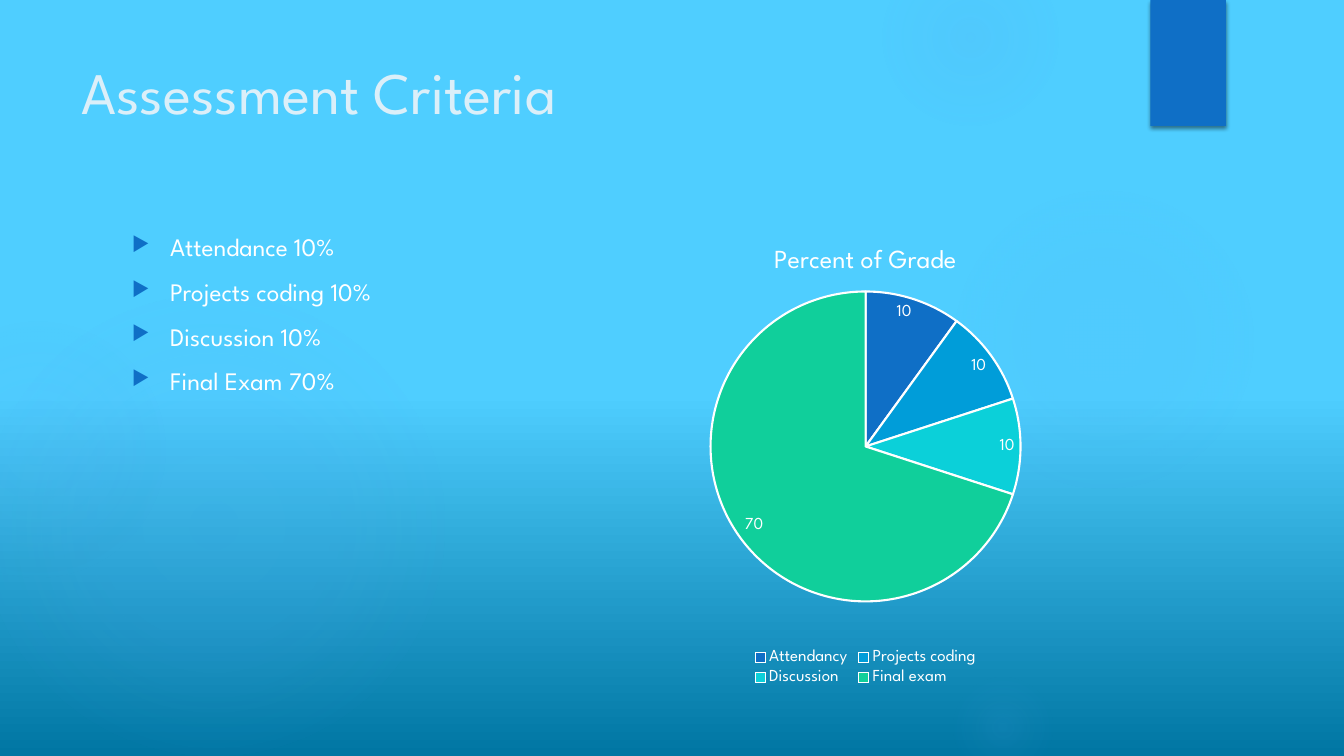
from pptx import Presentation
from pptx.chart.data import CategoryChartData
from pptx.dml.color import RGBColor
from pptx.enum.chart import XL_CHART_TYPE as ChartType
from pptx.enum.chart import XL_LABEL_POSITION as LabelPosition
from pptx.enum.chart import XL_LEGEND_POSITION as LegendPosition
from pptx.enum.shapes import MSO_SHAPE as Shape
from pptx.oxml import parse_xml
from pptx.oxml.ns import nsdecls, qn
from pptx.util import Inches, Pt

WIDTH, HEIGHT = 13.33, 7.5
FONT = "League Spartan"
WHITE, PALE, BLUE = "FFFFFF", "DBEFF9", "0F6FC6"
GLOW = "59AAF2"

# Content columns share one row
CONTENT_TOP, COLUMN_WIDTH, COLUMN_HEIGHT = 2.25, 4.81, 4.59
LEFT_COLUMN, COLUMN_GAP = 1.21, 0.16

CRITERIA = ["Attendance 10%", "Projects coding 10%", "Discussion 10%", "Final Exam 70%"]
GRADES = [
    ("Attendancy", 10, BLUE),
    ("Projects coding", 10, "009DD9"),
    ("Discussion", 10, "0BD0D9"),
    ("Final exam", 70, "10CF9B"),
]

# Glow circles: left, top, diameter, (position, colour, opacity) stops
GLOWS = [
    (-0.17, 2.92, 4.58, [(0, GLOW, 11), (36, GLOW, 10), (75, GLOW, 0)]),
    (-0.92, 3.17, 2.58, [(0, GLOW, 8), (36, GLOW, 5), (71, "448AD7", 0)]),
    (9.41, 1.83, 3.08, [(0, GLOW, 7), (36, GLOW, 6), (69, GLOW, 0)]),
    (8.75, -0.5, 1.75, [(0, GLOW, 14), (36, GLOW, 7), (73, GLOW, 0)]),
    (9.41, 6.67, 1.08, [(0, GLOW, 10), (31, GLOW, 5), (66, GLOW, 0)]),
]
SKY = [(0, "0076A3", 100), (48, "4FCEFF", 100), (100, "4FCEFF", 100)]
LINEAR_UP = '<a:lin ang="16200000" scaled="0"/>'
RADIAL = ('<a:path path="circle"><a:fillToRect l="50000" t="50000" '
          'r="50000" b="50000"/></a:path>')


def color(hex_string):
    return RGBColor.from_string(hex_string)


def inches(box):
    return [Inches(length) for length in box]


def apply(target, formats):
    for name, value in formats.items():
        setattr(target, name, value)


def style_font(font, size, hex_string=WHITE):
    apply(font, {"name": FONT, "size": Pt(size), "bold": False})
    font.color.rgb = color(hex_string)


def gradient(fill, owner, stops, direction):
    """Replace the owner's solid fill by a gradient."""
    fill.solid()
    marks = "".join(
        f'<a:gs pos="{position * 1000}"><a:srgbClr val="{tone}">'
        f'<a:alpha val="{opacity * 1000}"/></a:srgbClr></a:gs>'
        for position, tone, opacity in stops)
    solid = owner.find(".//" + qn("a:solidFill"))
    solid.getparent().replace(solid, parse_xml(
        f'<a:gradFill {nsdecls("a")} rotWithShape="1"><a:gsLst>{marks}</a:gsLst>'
        f'{direction}</a:gradFill>'))


def add_backdrop(slide):
    gradient(slide.background.fill, slide.element, SKY, LINEAR_UP)
    for left, top, diameter, stops in GLOWS:
        glow = slide.shapes.add_shape(
            Shape.OVAL, *inches((left, top, diameter, diameter)))
        glow.shadow.inherit = False
        gradient(glow.fill, glow.element.spPr, stops, RADIAL)
        glow.line.fill.background()


def add_ribbon(slide, box):
    ribbon = slide.shapes.add_shape(Shape.RECTANGLE, *inches(box))
    ribbon.shadow.inherit = False
    ribbon.fill.solid()
    ribbon.fill.fore_color.rgb = color(BLUE)
    ribbon.line.fill.background()
    # Soft shadow below the ribbon
    ribbon.element.spPr.find(qn("a:effectLst")).append(parse_xml(
        f'<a:outerShdw {nsdecls("a")} blurRad="{Pt(3)}" dist="{Pt(2)}" dir="5400000" '
        'rotWithShape="0"><a:srgbClr val="000000"><a:alpha val="45000"/>'
        '</a:srgbClr></a:outerShdw>'))


def add_title(slide, box, wording):
    frame = slide.shapes.add_textbox(*inches(box)).text_frame
    frame.word_wrap = True
    frame.text = wording
    style_font(frame.paragraphs[0].runs[0].font, 42, PALE)


def add_criteria(slide, box, criteria):
    frame = slide.shapes.add_textbox(*inches(box)).text_frame
    frame.word_wrap = True
    frame.text = "\n".join(criteria)
    for criterion in frame.paragraphs:
        apply(criterion, {"space_before": Pt(4.2), "space_after": Pt(6)})
        style_font(criterion.runs[0].font, 18)
        # Triangle bullet with hanging indent
        properties = criterion._p.get_or_add_pPr()
        properties.set("marL", str(Inches(0.38)))
        properties.set("indent", str(-Inches(0.38)))
        for bullet in (f'<a:buClr {nsdecls("a")}><a:srgbClr val="{BLUE}"/></a:buClr>',
                       f'<a:buSzPct {nsdecls("a")} val="80000"/>',
                       f'<a:buChar {nsdecls("a")} char="▶"/>'):
            properties.append(parse_xml(bullet))


def add_grade_pie(slide, box, heading, grades):
    names, percents, tones = zip(*grades)
    data = CategoryChartData()
    data.categories = names
    data.add_series(heading, percents)
    chart = slide.shapes.add_chart(ChartType.PIE, *inches(box), data).chart
    style_font(chart.font, 10)

    # Heading and legend
    chart.has_title = True
    chart.chart_title.include_in_layout = False
    chart.chart_title.text_frame.text = heading
    style_font(chart.chart_title.text_frame.paragraphs[0].runs[0].font, 18.6)
    chart.has_legend = True
    apply(chart.legend, {"position": LegendPosition.BOTTOM, "include_in_layout": False})
    style_font(chart.legend.font, 12)

    # Slices and their values
    pie = chart.plots[0]
    pie.vary_by_categories = True
    pie.has_data_labels = True
    apply(pie.data_labels, {"show_value": True, "show_percentage": False,
                            "position": LabelPosition.INSIDE_END})
    style_font(pie.data_labels.font, 12)
    for index, tone in enumerate(tones):
        slice_format = pie.series[0].points[index].format
        slice_format.fill.solid()
        slice_format.fill.fore_color.rgb = color(tone)
        slice_format.line.color.rgb = color(WHITE)
        slice_format.line.width = Pt(1.5)

    # Inner plot area as shares of the chart
    area = chart._chartSpace.chart.plotArea
    for old_layout in area.findall(qn("c:layout")):
        area.remove(old_layout)
    shares = "".join(f'<c:{key} val="{share}"/>' for key, share in
                     {"x": 0.18, "y": 0.14, "w": 0.64, "h": 0.67}.items())
    area.insert(0, parse_xml(
        f'<c:layout {nsdecls("c")}><c:manualLayout><c:layoutTarget val="inner"/>'
        f'<c:xMode val="edge"/><c:yMode val="edge"/>{shares}'
        '</c:manualLayout></c:layout>'))


def build_assessment_slide(deck):
    slide = deck.slides.add_slide(deck.slide_layouts[6])
    columns = [(LEFT_COLUMN + index * (COLUMN_WIDTH + COLUMN_GAP), CONTENT_TOP,
                COLUMN_WIDTH, COLUMN_HEIGHT) for index in range(2)]
    add_backdrop(slide)
    add_ribbon(slide, (11.41, 0, 0.75, HEIGHT / 6))
    add_title(slide, (0.71, 0.5, 10.29, 1.53), "Assessment Criteria")
    add_criteria(slide, columns[0], CRITERIA)
    add_grade_pie(slide, columns[1], "Percent of Grade", GRADES)


def main():
    deck = Presentation()
    apply(deck, {"slide_width": Inches(WIDTH), "slide_height": Inches(HEIGHT)})
    build_assessment_slide(deck)
    deck.save("out.pptx")


if __name__ == "__main__":
    main()
